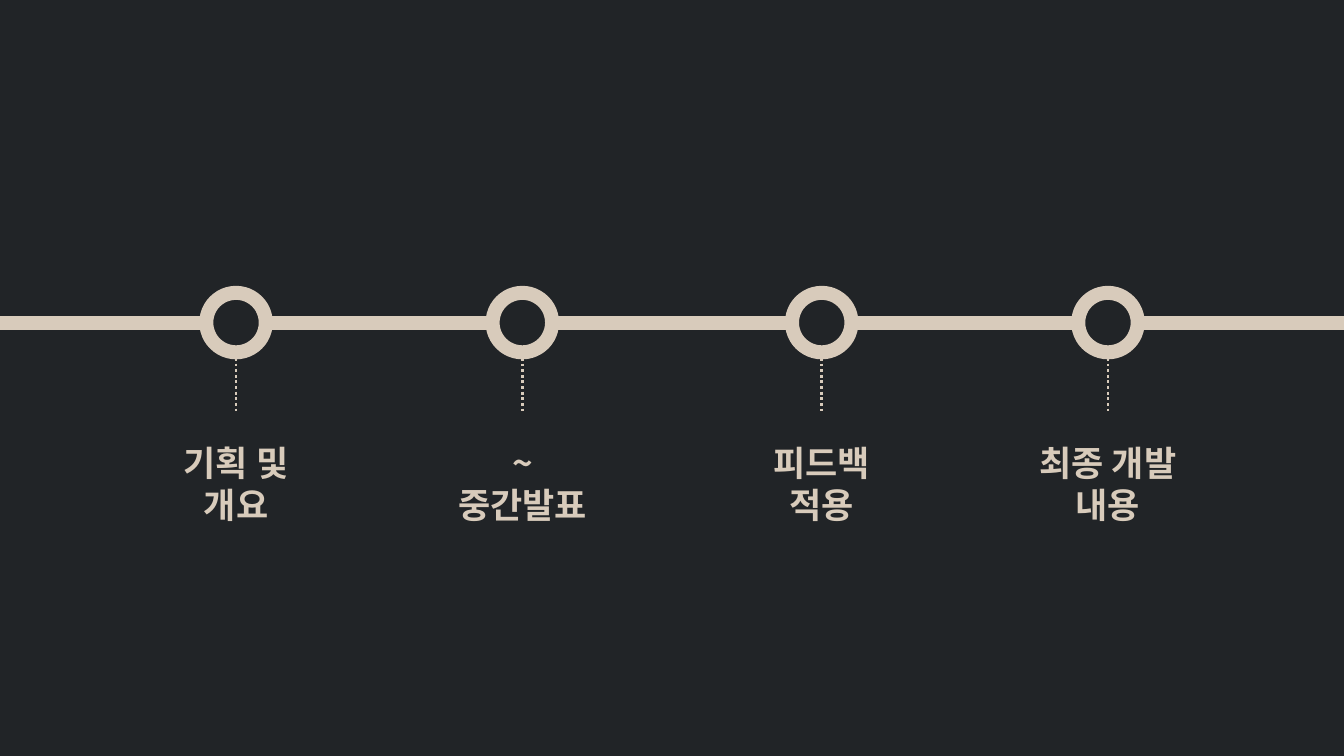
from dataclasses import dataclass

from lxml.etree import SubElement
from pptx import Presentation
from pptx.dml.color import RGBColor
from pptx.enum.dml import MSO_LINE
from pptx.enum.shapes import MSO_CONNECTOR, MSO_SHAPE
from pptx.enum.text import MSO_AUTO_SIZE, PP_ALIGN
from pptx.oxml.ns import qn
from pptx.util import Inches, Pt

# Label, its box width, and the milestone's offset from the slide's centre (inches)
MILESTONES = [
    ("기획 및 개요", 1.88, -4.325),
    ("~ 중간발표", 1.72, -1.485),
    ("피드백 적용", 1.8, 1.485),
    ("최종 개발 내용", 2.19, 4.325),
]


@dataclass(frozen=True)
class Theme:
    dark: RGBColor = RGBColor(0x21, 0x24, 0x27)
    sand: RGBColor = RGBColor(0xD8, 0xCB, 0xBB)
    font: str = "Noto Sans CJK KR"
    label_size: int = 25
    track: int = 10
    stem: int = 2


THEME = Theme()
WIDTH, HEIGHT = 13.333, 7.5
TRACK_Y = 3.2
RING = 0.59
STEM_TOP = TRACK_Y + RING / 2
STEM_BOTTOM = STEM_TOP + RING
LABEL_TOP, LABEL_HEIGHT = 4.33, 0.52


def add_line(page, start, end, weight, dash=None):
    line = page.shapes.add_connector(
        MSO_CONNECTOR.STRAIGHT, *(Inches(value) for value in (*start, *end)))
    line.line.color.rgb = THEME.sand
    line.line.width = Pt(weight)
    if dash is not None:
        line.line.dash_style = dash
    SubElement(line._element.spPr, qn("a:effectLst"))


def add_ring(page, centre):
    ring = page.shapes.add_shape(
        MSO_SHAPE.OVAL, Inches(centre - RING / 2), Inches(TRACK_Y - RING / 2),
        Inches(RING), Inches(RING))
    ring.shadow.inherit = False
    ring.fill.solid()
    ring.fill.fore_color.rgb = THEME.dark
    ring.line.color.rgb = THEME.sand
    ring.line.width = Pt(THEME.track)


def add_label(page, centre, label, width):
    box = page.shapes.add_textbox(
        Inches(centre - width / 2), Inches(LABEL_TOP),
        Inches(width), Inches(LABEL_HEIGHT))
    frame = box.text_frame
    frame.word_wrap = True
    frame.auto_size = MSO_AUTO_SIZE.SHAPE_TO_FIT_TEXT
    frame.text = label
    para = frame.paragraphs[0]
    para.alignment = PP_ALIGN.CENTER
    span = para.runs[0]
    span.font.size = Pt(THEME.label_size)
    span.font.bold = True
    span.font.name = THEME.font
    span.font.color.rgb = THEME.sand
    SubElement(span.font._element, qn("a:ea"), typeface=THEME.font)


def main():
    deck = Presentation()
    deck.slide_width, deck.slide_height = Inches(WIDTH), Inches(HEIGHT)
    page = deck.slides.add_slide(deck.slide_layouts[6])
    page.background.fill.solid()
    page.background.fill.fore_color.rgb = THEME.dark

    add_line(page, (0, TRACK_Y), (WIDTH, TRACK_Y), THEME.track)
    for label, width, offset in MILESTONES:
        centre = WIDTH / 2 + offset
        add_ring(page, centre)
        add_line(page, (centre, STEM_TOP), (centre, STEM_BOTTOM),
                 THEME.stem, MSO_LINE.ROUND_DOT)
        add_label(page, centre, label, width)
    deck.save("out.pptx")


if __name__ == "__main__":
    main()
